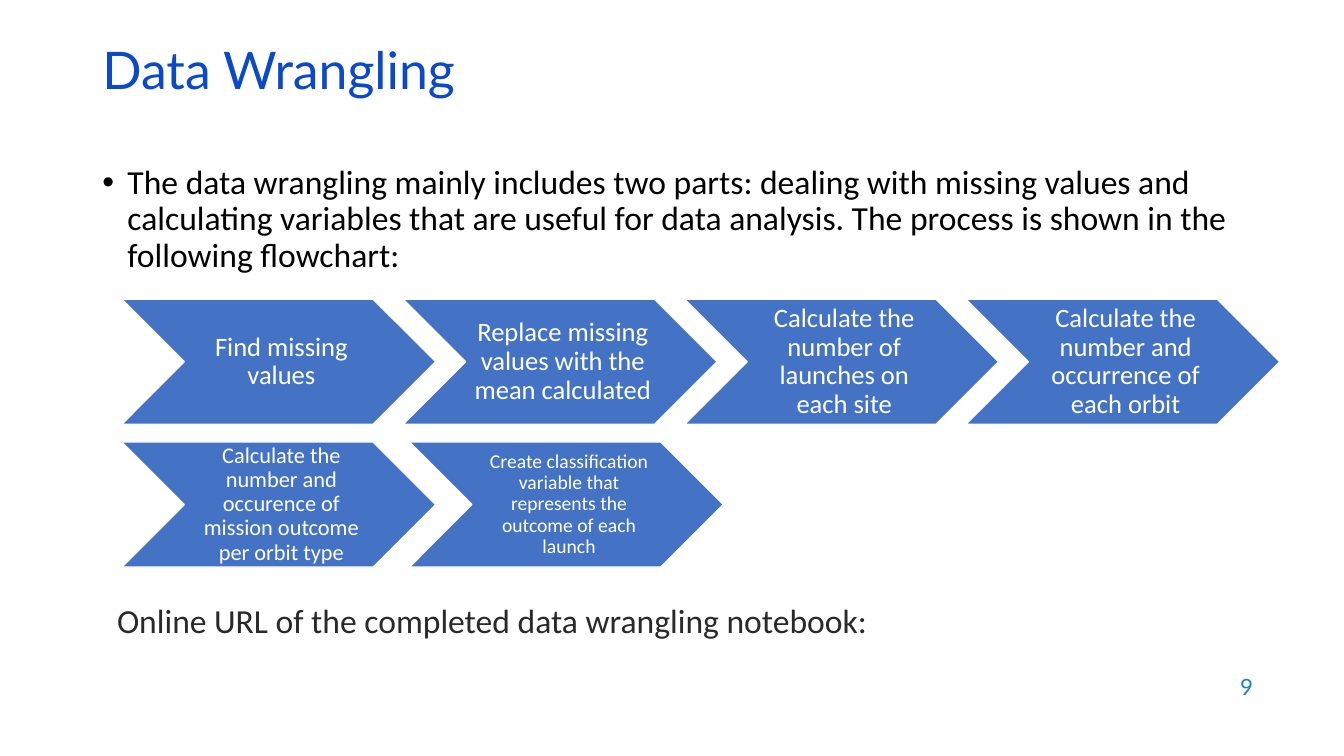
"""Build the Data Wrangling slide with its two rows of process steps."""
from dataclasses import dataclass

from lxml.etree import SubElement
from pptx import Presentation
from pptx.dml.color import RGBColor
from pptx.enum.shapes import MSO_SHAPE as Preset
from pptx.enum.text import MSO_ANCHOR as Anchor, MSO_AUTO_SIZE as AutoSize, PP_ALIGN as Align
from pptx.oxml.ns import qn
from pptx.shapes.base import BaseShape
from pptx.slide import Slide
from pptx.util import Emu, Pt

EMU_PER_PX = 9525
TITLE_BLUE = RGBColor(0x0B, 0x49, 0xCB)
NUMBER_BLUE = RGBColor(0x1C, 0x7D, 0xDB)
STEP_BLUE = RGBColor(0x44, 0x72, 0xC4)
BLACK = RGBColor(0x00, 0x00, 0x00)
CHARCOAL = RGBColor(0x29, 0x29, 0x29)
WHITE = RGBColor(0xFF, 0xFF, 0xFF)

STEP_LEFT, STEP_WIDTH, STEP_HEIGHT = 116, 299, 119


@dataclass(frozen=True)
class Box:
    left: int
    top: int
    width: int
    height: int

    def emu(self) -> list[Emu]:
        return [px(n) for n in (self.left, self.top, self.width, self.height)]


@dataclass(frozen=True)
class Style:
    size: int
    color: RGBColor
    name: str = "Calibri"
    align: Align = Align.LEFT
    anchor: Anchor = Anchor.TOP
    spacing: float = 1.0
    bullet: str = ""


@dataclass(frozen=True)
class Step:
    text: str
    size: int = 19


@dataclass(frozen=True)
class StepRow:
    top: int
    pitch: int
    steps: tuple[Step, ...]


ROWS = (
    StepRow(285, 268, (
        Step("Find missing values"),
        Step("Replace missing values with the mean calculated"),
        Step("Calculate the number of launches on each site"),
        Step("Calculate the number and occurrence of each orbit"),
    )),
    StepRow(421, 274, (
        Step("Calculate the number and occurence of mission outcome per orbit type", 16),
        Step("Create classification variable that represents the outcome of each launch", 14),
    )),
)

PASSAGES = (
    (Box(88, 153, 1104, 125),
     "The data wrangling mainly includes two parts: dealing with missing values and "
     "calculating variables that are useful for data analysis. The process is shown "
     "in the following flowchart:",
     Style(24, BLACK, spacing=0.9, bullet="•")),
    (Box(915, 633, 288, 42), "9",
     Style(16, NUMBER_BLUE, "Lato", Align.RIGHT, Anchor.MIDDLE)),
    (Box(102, 567, 1076, 78), "Online URL of the completed data wrangling notebook:",
     Style(24, CHARCOAL)),
)


def px(count: int) -> Emu:
    return Emu(count * EMU_PER_PX)


def apply(target: object, values: dict[str, object]) -> None:
    for key, value in values.items():
        setattr(target, key, value)


def write(holder: BaseShape, text: str, style: Style) -> None:
    frame = holder.text_frame
    apply(frame, {"text": text, "word_wrap": True, "auto_size": AutoSize.NONE,
                  "vertical_anchor": style.anchor})
    paragraph = frame.paragraphs[0]
    apply(paragraph, {"alignment": style.align, "line_spacing": style.spacing})
    if style.bullet:
        properties = paragraph._p.get_or_add_pPr()
        properties.set("marL", str(px(24)))
        properties.set("indent", str(px(-24)))
        SubElement(properties, qn("a:buFont"), typeface="Arial")
        SubElement(properties, qn("a:buChar"), char=style.bullet)
    font = paragraph.runs[0].font
    apply(font, {"size": Pt(style.size), "name": style.name})
    font.color.rgb = style.color


def add_step(slide: Slide, step: Step, box: Box) -> None:
    chevron = slide.shapes.add_shape(Preset.CHEVRON, *box.emu())
    chevron.shadow.inherit = False
    chevron.fill.solid()
    chevron.fill.fore_color.rgb = STEP_BLUE
    chevron.line.color.rgb = WHITE
    chevron.line.width = Pt(1)
    write(chevron, step.text,
          Style(step.size, WHITE, align=Align.CENTER, anchor=Anchor.MIDDLE, spacing=0.9))
    apply(chevron.text_frame, {"margin_left": px(8), "margin_top": px(3),
                               "margin_right": px(3), "margin_bottom": px(3)})


def main() -> None:
    deck = Presentation()
    apply(deck, {"slide_width": px(1280), "slide_height": px(720)})
    slide = deck.slides.add_slide(deck.slide_layouts.get_by_name("Title Only"))

    title = slide.shapes.title
    apply(title, dict(zip(("left", "top", "width", "height"), Box(88, 38, 1104, 88).emu())))
    write(title, "Data Wrangling", Style(37, TITLE_BLUE, "Lato", spacing=0.9))

    for box, text, style in PASSAGES:
        write(slide.shapes.add_textbox(*box.emu()), text, style)

    for row in ROWS:
        for index, step in enumerate(row.steps):
            left = STEP_LEFT + index * row.pitch
            add_step(slide, step, Box(left, row.top, STEP_WIDTH, STEP_HEIGHT))

    deck.save("out.pptx")


if __name__ == "__main__":
    main()
